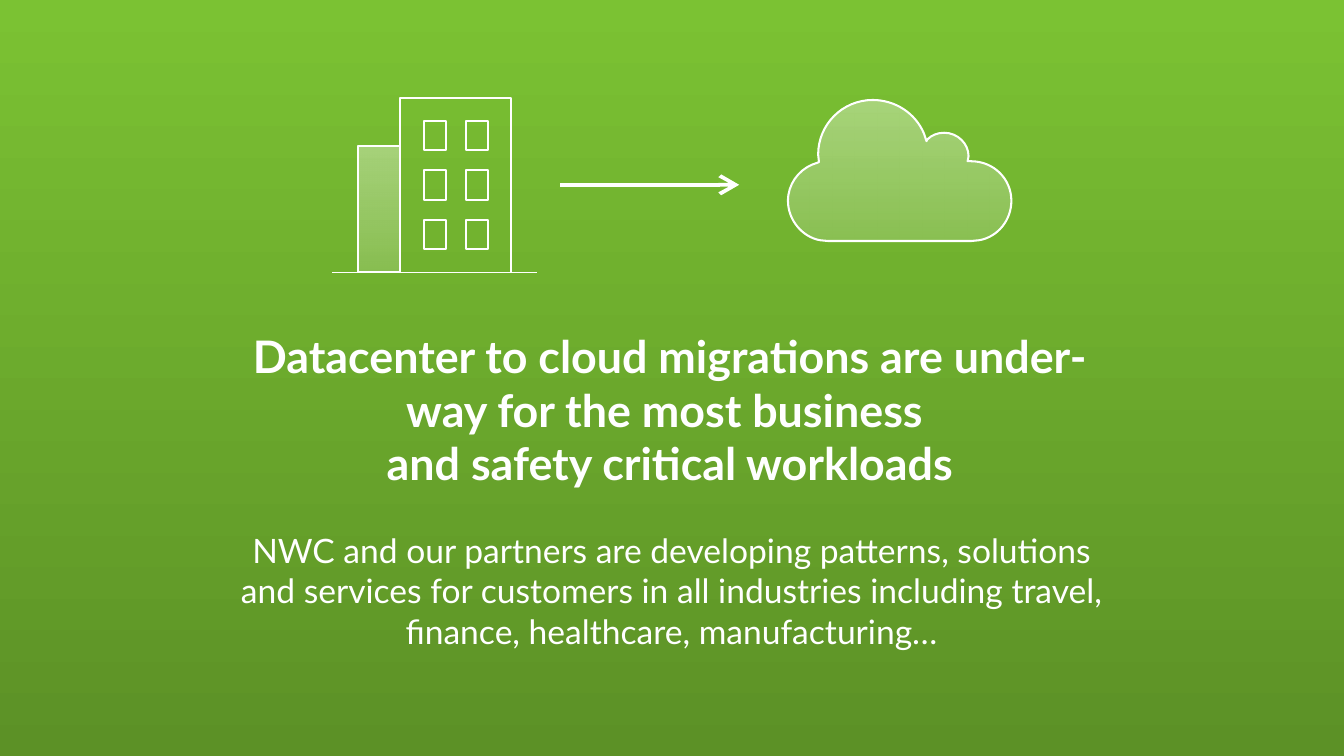
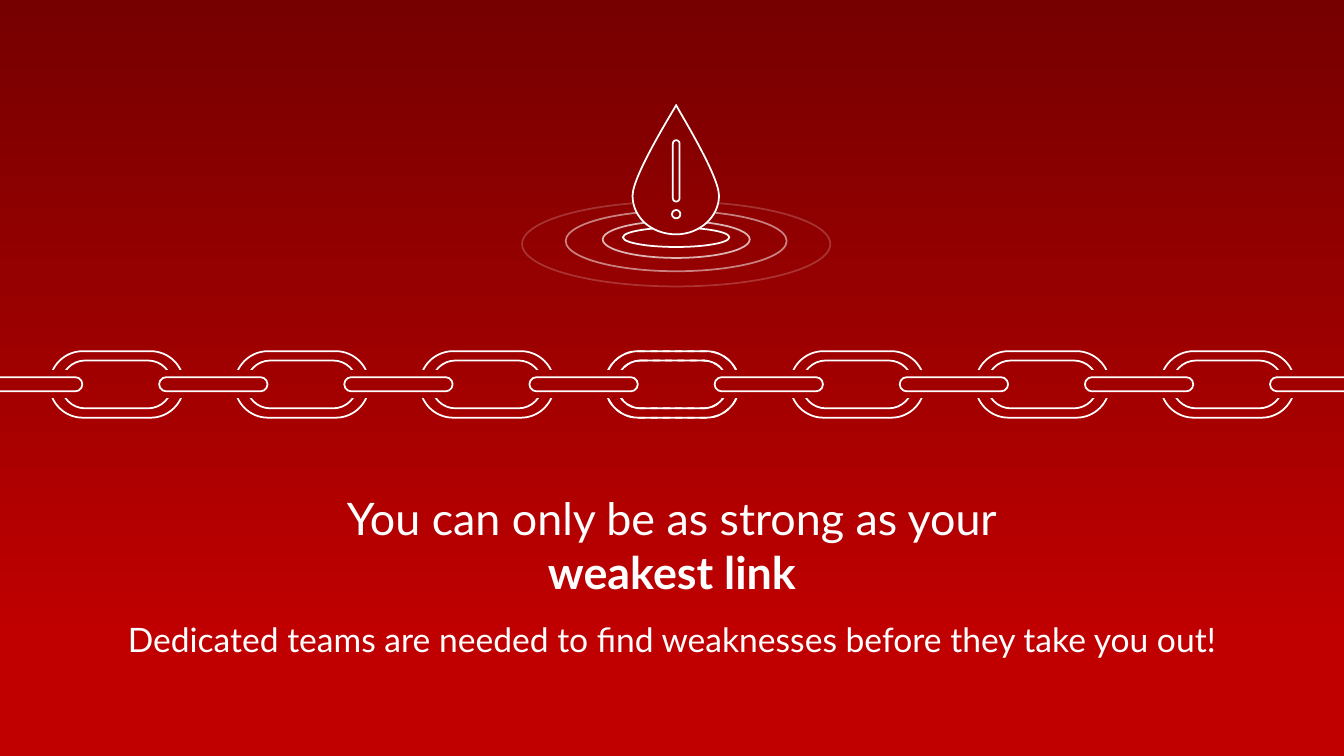
import pptx
import pptx.dml.color
import pptx.enum.dml
import pptx.enum.shapes
import pptx.enum.text
import pptx.oxml
import pptx.oxml.ns
import pptx.util

Pt = pptx.util.Pt
SHAPE = pptx.enum.shapes.MSO_SHAPE
qn = pptx.oxml.ns.qn
NAMESPACE = pptx.oxml.ns.nsdecls("a")

COLORS = {
    "white": "FFFFFF",
    "green_top": "7BC233",
    "green_bottom": "5C9126",
    "red_top": "760000",
    "red_bottom": "C00000",
}
FONT = "Lato"
SLIDE_WIDTH, SLIDE_HEIGHT = 1152, 648
TITLE_SIZE, BODY_SIZE = 38.4, 28.8
THIN, OUTLINE, ARROW = 1.5, 1.75, 3.25
RED_END = 0.85
CLOUD_STOPS = [(0.02, COLORS["white"]), (1, COLORS["white"])]
CLOUD_ALPHAS = (35, 16)

# A contour is a start point, then lines (x, y) and curves (two controls, end).
CLOUD = [
    (748, 85.7),
    (767.5, 85.7, 784.8, 97.2, 792, 114.5),
    (794.2, 121),
    (794.9, 119.5),
    (798.5, 115.9, 803.5, 113.8, 809.3, 113.8),
    (820.8, 113.8, 830.2, 123.1, 830.2, 133.9),
    (829.4, 138.2),
    (832.3, 138.2),
    (851.8, 138.2, 866.9, 153.4, 866.9, 172.1),
    (866.9, 188.6, 855.4, 203, 839.5, 205.9),
    (832.3, 206.6),
    (709.9, 206.6),
    (702.7, 205.9),
    (687.6, 203, 675.4, 188.6, 675.4, 172.1),
    (675.4, 158.4, 684, 146.2, 696.2, 141.1),
    (702, 139),
    (701.3, 132.5),
    (701.3, 106.6, 722.2, 85.7, 748, 85.7),
]
DROP = [
    (542.2, 167.8),
    (542.2, 149.8, 580, 90.5, 579.6, 90),
    (579, 90.5, 616.3, 149.8, 616.3, 167.8),
    (616.3, 185.8, 599.8, 200.9, 579.6, 200.9),
    (558.7, 200.9, 542.2, 186.5, 542.2, 167.8),
]
DROP_CENTER = 579.6


def rgb(hex_color):
    return pptx.dml.color.RGBColor.from_string(hex_color)


def set_gradient(fill, stops):
    """Fill from top to bottom with two (position, colour) stops."""
    fill.gradient()
    fill.gradient_angle = 270
    for stop, (position, color) in zip(fill.gradient_stops, stops):
        stop.position = position
        stop.color.rgb = rgb(color)


def set_alphas(element, percents):
    """Give the colours below an element their opacities, in order."""
    for color, percent in zip(element.iter(qn("a:srgbClr")), percents):
        color.append(pptx.oxml.parse_xml(
            f'<a:alpha {NAMESPACE} val="{percent * 1000}"/>'))


def red_at(y):
    """Background colour of the red slide at a height."""
    share = min(y / (SLIDE_HEIGHT * RED_END), 1)
    top, bottom = rgb(COLORS["red_top"]), rgb(COLORS["red_bottom"])
    return "".join(f"{round(a + (b - a) * share):02X}"
                   for a, b in zip(top, bottom))


def paint(shape, stops=None, width=THIN):
    """Set fill (none without stops) and white outline (none at width 0)."""
    shape.shadow.inherit = False
    if stops:
        set_gradient(shape.fill, stops)
    else:
        shape.fill.background()
    if width:
        shape.line.color.rgb = rgb(COLORS["white"])
        shape.line.width = Pt(width)
    else:
        shape.line.fill.background()
    return shape


def add_preset(slide, kind, left, top, width, height, stops=None, line=THIN):
    shape = slide.shapes.add_shape(kind, Pt(left), Pt(top), Pt(width), Pt(height))
    if kind == SHAPE.ROUNDED_RECTANGLE:
        shape.adjustments[0] = 0.5
    return paint(shape, stops, line)


def add_red_cover(slide, kind, left, top, width, height, line):
    """Add a shape that blends into the red background."""
    stops = [(0, red_at(top)), (1, red_at(top + height))]
    return add_preset(slide, kind, left, top, width, height, stops, line)


def bend(segment, line_to, shape):
    """Turn one straight step of a freeform into a curve."""
    points = "".join(
        f'<a:pt x="{Pt(x) - shape.left}" y="{Pt(y) - shape.top}"/>'
        for x, y in zip(segment[::2], segment[1::2]))
    curve = pptx.oxml.parse_xml(
        f"<a:cubicBezTo {NAMESPACE}>{points}</a:cubicBezTo>")
    line_to.getparent().replace(line_to, curve)


def add_outline(slide, contours, stops=None, width=THIN):
    builder = None
    for start, *segments in contours:
        x, y = map(Pt, start)
        if builder is None:
            builder = slide.shapes.build_freeform(x, y)
        else:
            builder.move_to(x, y)
        builder.add_line_segments(
            [tuple(map(Pt, segment[-2:])) for segment in segments], close=True)
    shape = builder.convert_to_shape()
    steps = list(shape.element.iter(qn("a:lnTo")))
    segments = [segment for contour in contours for segment in contour[1:]]
    for segment, line_to in zip(segments, steps):
        if len(segment) == 6:
            bend(segment, line_to, shape)
    return paint(shape, stops, width)


def add_level_line(slide, start, end, y, width):
    line = slide.shapes.add_connector(
        pptx.enum.shapes.MSO_CONNECTOR.STRAIGHT, Pt(start), Pt(y), Pt(end), Pt(y))
    line.line.color.rgb = rgb(COLORS["white"])
    line.line.width = Pt(width)
    line.element.spPr.append(pptx.oxml.parse_xml(f"<a:effectLst {NAMESPACE}/>"))
    return line


def add_arrow(slide, start, end, y):
    arrow = add_level_line(slide, start, end, y, ARROW)
    arrow.element.spPr.find(qn("a:ln")).append(pptx.oxml.parse_xml(
        f'<a:tailEnd {NAMESPACE} type="arrow" w="lg" len="lg"/>'))


def write(holder, box, lines, size):
    """Place a text holder and write centred (text, bold) lines in it."""
    holder.left, holder.top, holder.width, holder.height = map(Pt, box)
    frame = holder.text_frame
    frame.word_wrap = True
    frame.auto_size = pptx.enum.text.MSO_AUTO_SIZE.NONE
    frame.vertical_anchor = pptx.enum.text.MSO_ANCHOR.TOP
    paragraph = frame.paragraphs[0]
    paragraph.alignment = pptx.enum.text.PP_ALIGN.CENTER
    for index, (text, bold) in enumerate(lines):
        if index:
            paragraph.add_line_break()
        run = paragraph.add_run()
        run.text = text
        run.font.name = FONT
        run.font.size = Pt(size)
        run.font.bold = bold
        run.font.color.rgb = rgb(COLORS["white"])


def add_slide(deck, background, title_box, title, body_box, body):
    slide = deck.slides.add_slide(deck.slide_layouts[5])
    set_gradient(slide.background.fill, background)
    write(slide.shapes.title, title_box, title, TITLE_SIZE)
    statement = slide.shapes.add_textbox(*map(Pt, body_box))
    write(statement, body_box, [(body, False)], BODY_SIZE)
    return slide


def add_datacenter(slide):
    add_level_line(slide, 285, 460.2, 233.5, THIN)
    add_preset(slide, SHAPE.RECTANGLE, 343, 84.2, 95, 149.4)
    for row in range(3):
        for column in range(2):
            add_preset(slide, SHAPE.RECTANGLE, 363.2 + 36.2 * column,
                       103.7 + 42.3 * row, 19.2, 25.2)
    annex = add_preset(slide, SHAPE.RECTANGLE, 306.7, 125.3, 36, 108,
                       CLOUD_STOPS, OUTLINE)
    set_alphas(annex.element.spPr.find(qn("a:gradFill")), CLOUD_ALPHAS)


def add_cloud(slide):
    cloud = add_outline(slide, [CLOUD], CLOUD_STOPS, OUTLINE)
    set_alphas(cloud.element.spPr.find(qn("a:gradFill")), CLOUD_ALPHAS)


def add_drop(slide):
    for top, width, height, opacity in (
            (172.8, 264.2, 72.7, 20), (180.7, 189.4, 51.8, 50),
            (189.4, 126, 31.7, 70), (195.1, 91.4, 16.6, 100)):
        ripple = add_preset(slide, SHAPE.OVAL, DROP_CENTER - width / 2, top,
                            width, height)
        if opacity < 100:
            set_alphas(ripple.element.spPr.find(qn("a:ln")), [opacity])
    add_outline(slide, [DROP], [(0, red_at(90)), (1, red_at(200.9))])
    for kind, top, width, height in ((SHAPE.OVAL, 180, 7.2, 7.2),
                                     (SHAPE.ROUNDED_RECTANGLE, 120.2, 5.8, 52.6)):
        add_preset(slide, kind, DROP_CENTER - width / 2, top, width, height)


def pill(left, top, width, height):
    """Contour of a bar with round ends."""
    radius = height / 2
    right, bottom, middle = left + width, top + height, top + radius
    start, end = left + radius, right - radius
    pull = 0.45 * radius
    return [
        (start, top),
        (end, top),
        (right - pull, top, right, top + pull, right, middle),
        (right, bottom - pull, right - pull, bottom, end, bottom),
        (start, bottom),
        (left + pull, bottom, left, bottom - pull, left, middle),
        (left, top + pull, left + pull, top, start, top),
    ]


def add_link(slide, left):
    return add_outline(slide, [pill(left, 301, 115.2, 57),
                               pill(left + 10, 309, 95, 41)])


def add_chain(slide):
    pitch, links, weakest = 158.7, 7, 3
    first_link, first_rod = 42.5, -22.3
    for index in range(links):
        add_link(slide, first_link + pitch * index)
    weak_link = add_link(slide, first_link + pitch * weakest)
    weak_link.line.dash_style = pptx.enum.dml.MSO_LINE.DASH
    for index in range(links + 1):
        left = first_rod + pitch * index
        add_red_cover(slide, SHAPE.RECTANGLE, left - 2.9, 317.5, 106.6, 24, 0)
        add_red_cover(slide, SHAPE.ROUNDED_RECTANGLE, left, 323.3, 92.9, 12.2, THIN)


def main():
    deck = pptx.Presentation()
    deck.slide_width, deck.slide_height = Pt(SLIDE_WIDTH), Pt(SLIDE_HEIGHT)

    migration = add_slide(
        deck, [(0, COLORS["green_top"]), (1, COLORS["green_bottom"])],
        (185, 278, 778.3, 147),
        [("Datacenter to cloud migrations are under-way for the most business ", True),
         ("and safety critical workloads", True)],
        (186.5, 450.7, 778.3, 112.3),
        "NWC and our partners are developing patterns, solutions and services for "
        "customers in all industries including travel, finance, healthcare, "
        "manufacturing…")
    add_datacenter(migration)
    add_arrow(migration, 480.2, 633.6, 158.4)
    add_cloud(migration)

    weakness = add_slide(
        deck, [(0, COLORS["red_top"]), (RED_END, COLORS["red_bottom"])],
        (73.4, 417.2, 1005.1, 100),
        [("You can only be as strong as your", False), ("weakest link", True)],
        (73.4, 527, 1005.1, 42.5),
        "Dedicated teams are needed to find weaknesses before they take you out!")
    add_drop(weakness)
    add_chain(weakness)

    deck.save("out.pptx")


if __name__ == "__main__":
    main()
